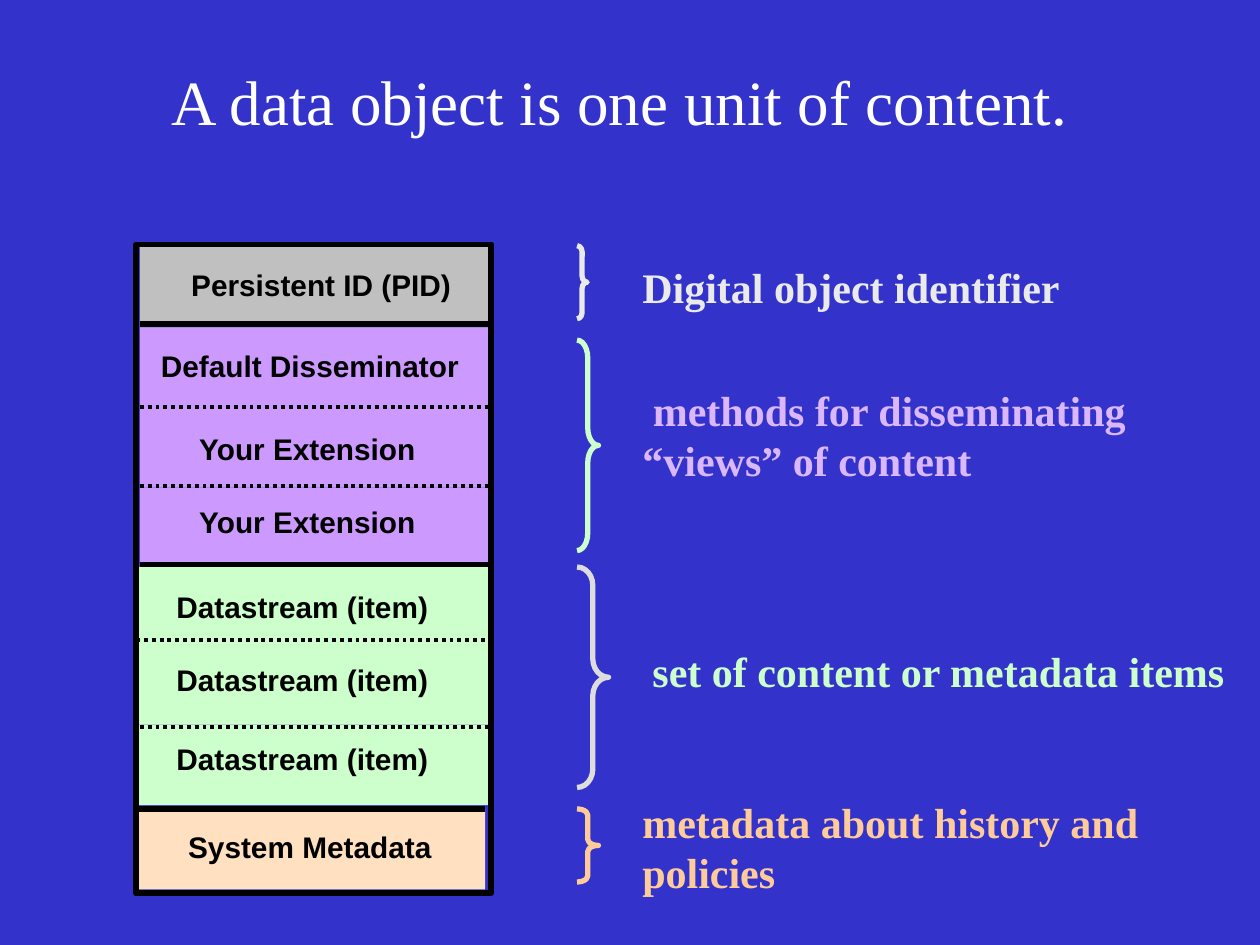
from dataclasses import dataclass

from pptx import Presentation
from pptx.dml.color import RGBColor
from pptx.enum.dml import MSO_LINE
from pptx.enum.shapes import MSO_CONNECTOR, MSO_SHAPE
from pptx.enum.text import MSO_ANCHOR as ANCHOR, PP_ALIGN as ALIGN
from pptx.oxml.ns import qn
from pptx.util import Inches, Pt
from lxml.etree import SubElement


@dataclass(frozen=True)
class Theme:
    background: str = "3333CC"
    white: str = "FFFFFF"
    black: str = "000000"
    pid: str = "C0C0C0"
    method: str = "CC99FF"
    item: str = "CCFFCC"
    system: str = "FFE0C0"
    pid_note: str = "EAEAEA"
    method_note: str = "DBB7FF"
    system_note: str = "FFCC99"
    item_brace: str = "DDDDDD"
    serif: str = "Times New Roman"
    sans: str = "Arial"
    title_size: float = 36
    note_size: float = 24
    label_size: float = 17
    solid_width: float = 3.37
    dotted_width: float = 2.25
    brace_width: float = 3


class SlideBuilder:
    def __init__(self, prs, theme):
        self.theme = theme
        self.s = prs.slides.add_slide(prs.slide_layouts[6])
        fill = self.s.background.fill
        fill.solid()
        fill.fore_color.rgb = RGBColor.from_string(theme.background)

    def shape(self, kind, box, fill=None, line=None, width=0):
        sp = self.s.shapes.add_shape(kind, *map(Inches, box))
        sp.shadow.inherit = False
        if fill:
            sp.fill.solid()
            sp.fill.fore_color.rgb = RGBColor.from_string(fill)
        else:
            sp.fill.background()
        if line:
            sp.line.color.rgb = RGBColor.from_string(line)
            sp.line.width = Pt(width)
        else:
            sp.line.fill.background()
        return sp

    def brace(self, top, width, height, color):
        sp = self.shape(MSO_SHAPE.RIGHT_BRACE, (4.58, top, width, height),
                        line=color, width=self.theme.brace_width)
        sp.adjustments[0] = height / width / 12
        sp.adjustments[1] = 0.5

    def divider(self, left, y, dotted):
        t = self.theme
        cx = self.s.shapes.add_connector(
            MSO_CONNECTOR.STRAIGHT, Inches(left), Inches(y), Inches(left + 2.77), Inches(y))
        cx.line.color.rgb = RGBColor.from_string(t.black)
        cx.line.width = Pt(t.dotted_width if dotted else t.solid_width)
        if dotted:
            cx.line.dash_style = MSO_LINE.ROUND_DOT
        SubElement(cx._element.spPr, qn("a:effectLst"))

    def text(self, box, text, size, font, color, bold=True, align=ALIGN.LEFT,
             anchor=ANCHOR.TOP, inset=True):
        tf = self.s.shapes.add_textbox(*map(Inches, box)).text_frame
        tf.word_wrap = True
        tf.vertical_anchor = anchor
        tf.margin_left = tf.margin_right = Inches(0.1 if inset else 0)
        tf.margin_top = tf.margin_bottom = Inches(0.05 if inset else 0)
        p = tf.paragraphs[0]
        p.alignment = align
        r = p.add_run()
        r.text = text
        r.font.size = Pt(size)
        r.font.name = font
        r.font.bold = bold
        r.font.color.rgb = RGBColor.from_string(color)

    def title(self, text):
        t = self.theme
        self.text((0.67, 0.17, 8.5, 1.25), text, t.title_size, t.serif, t.white,
                  bold=False, align=ALIGN.CENTER, anchor=ANCHOR.MIDDLE)

    def label(self, center, top, text, width=2.6):
        t = self.theme
        self.text((center - width / 2, top, width, 0.28), text, t.label_size, t.sans,
                  t.black, align=ALIGN.CENTER, inset=False)

    def note(self, box, text, color, anchor=ANCHOR.TOP):
        t = self.theme
        self.text(box, text, t.note_size, t.serif, color, anchor=anchor)


def main():
    prs = Presentation()
    prs.slide_width, prs.slide_height = Inches(10), Inches(7.5)
    t = Theme()
    b = SlideBuilder(prs, t)
    b.title("A data object is one unit of content.")

    bands = [
        (1.11, 1.96, 2.77, t.pid),
        (1.11, 2.6, 2.77, t.method),
        (1.11, 3.23, 2.77, t.method),
        (1.11, 3.87, 2.77, t.method),
        (1.08, 6.42, 2.77, t.system),
        (1.08, 4.5, 2.83, t.item),
        (1.08, 5.11, 2.83, t.item),
        (1.08, 5.75, 2.83, t.item),
    ]
    for left, top, width, color in bands:
        b.shape(MSO_SHAPE.RECTANGLE, (left, top, width, 0.64), fill=color)

    dividers = [
        (1.11, 2.57, False), (1.11, 3.23, True), (1.11, 3.86, True), (1.11, 4.48, False),
        (1.08, 5.08, True), (1.11, 5.77, True), (1.08, 6.42, False),
    ]
    for divider in dividers:
        b.divider(*divider)
    b.shape(MSO_SHAPE.RECTANGLE, (1.08, 1.94, 2.82, 5.15), line=t.black, width=t.solid_width)

    labels = [
        (2.55, 2.12, "Persistent ID (PID)"),
        (2.46, 2.76, "Default Disseminator"),
        (2.44, 3.42, "Your Extension"),
        (2.44, 4, "Your Extension"),
        (2.4, 4.67, "Datastream (item)"),
        (2.4, 5.25, "Datastream (item)"),
        (2.4, 5.88, "Datastream (item)"),
        (2.46, 6.58, "System Metadata"),
    ]
    for label in labels:
        b.label(*label)

    braces = [
        (1.95, 0.08, 0.58, t.pid_note),
        (2.7, 0.17, 1.67, t.item),
        (4.5, 0.25, 1.75, t.item_brace),
        (6.42, 0.17, 0.58, t.system_note),
    ]
    for brace in braces:
        b.brace(*brace)

    b.note((5, 2.03, 3.8, 0.5), "Digital object identifier", t.pid_note)
    b.note((5, 3, 4.19, 0.9), " methods for disseminating “views” of content", t.method_note)
    b.note((5.08, 4.67, 4.92, 0.9), "set of content or metadata items", t.item,
           anchor=ANCHOR.BOTTOM)
    b.note((5, 6.27, 4.67, 0.9), "metadata about history and policies", t.system_note)

    prs.save("out.pptx")


if __name__ == "__main__":
    main()
